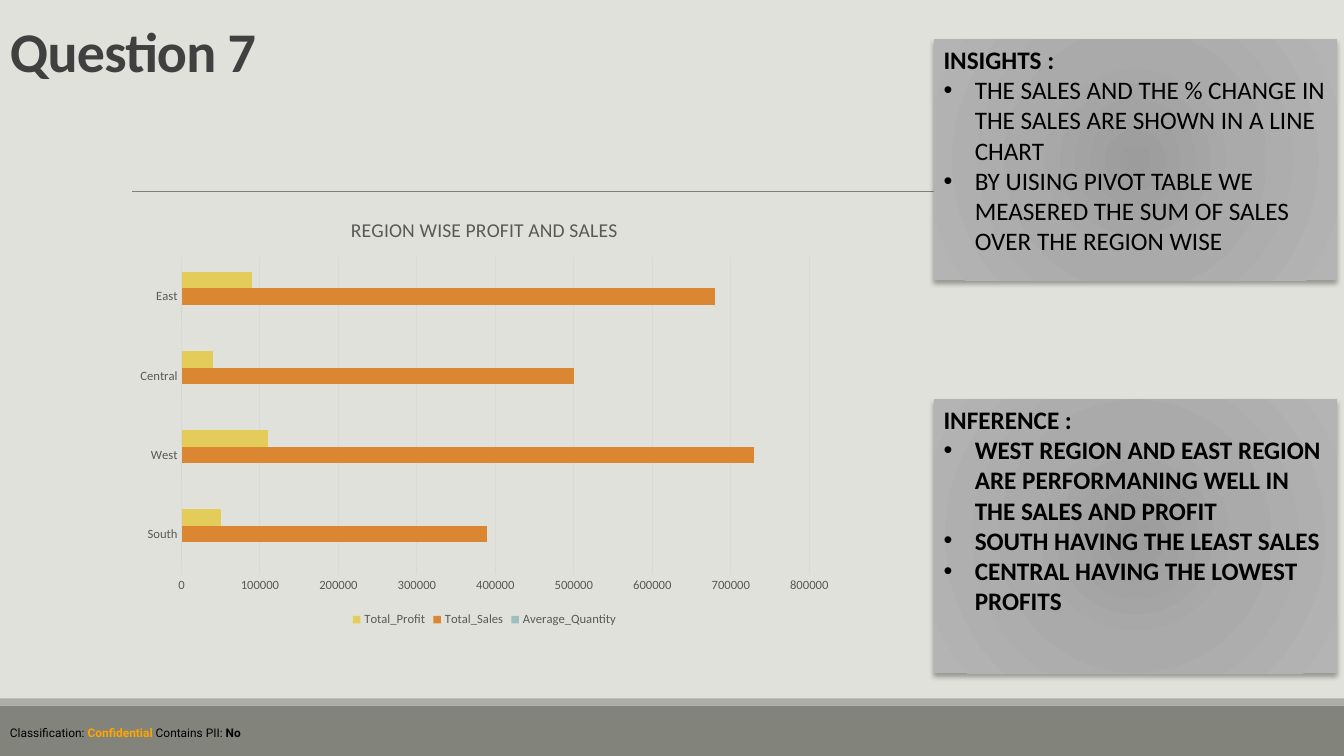
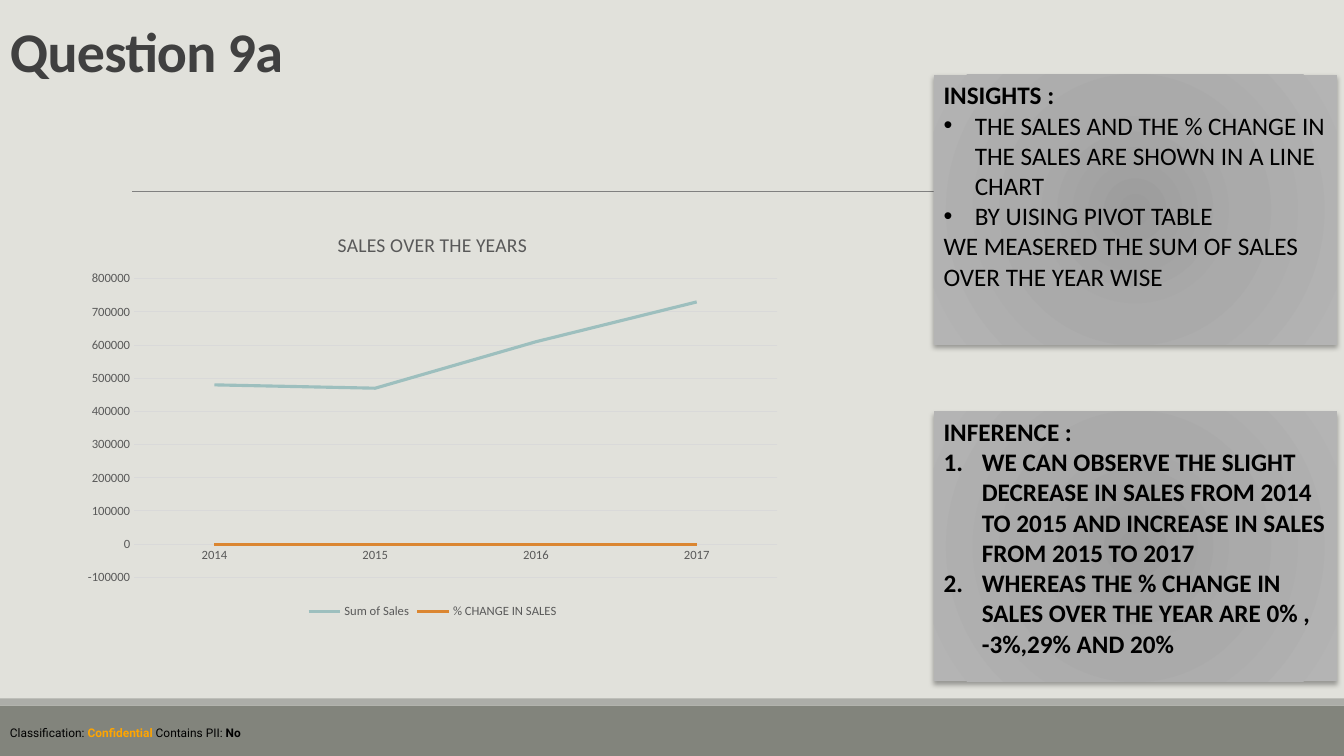
"""Build two slides, each with a sales chart beside insight and inference boxes."""
from lxml import etree
from pptx import Presentation
from pptx.chart.data import CategoryChartData
from pptx.dml.color import RGBColor
from pptx.enum.chart import XL_CHART_TYPE as CT, XL_LEGEND_POSITION as LP, XL_MARKER_STYLE as MS, XL_TICK_MARK as TM
from pptx.enum.shapes import MSO_CONNECTOR, MSO_SHAPE
from pptx.enum.text import MSO_ANCHOR, PP_ALIGN
from pptx.oxml import parse_xml
from pptx.oxml.ns import nsdecls, qn
from pptx.util import Inches, Pt

PAPER = RGBColor(0xE1, 0xE1, 0xDB)
BAND = RGBColor(0x82, 0x84, 0x7C)
STRIP = RGBColor(0xAC, 0xAD, 0xA8)
RULE = RGBColor(0x80, 0x80, 0x80)
BLACK = RGBColor(0, 0, 0)
ORANGE = RGBColor(0xFF, 0xA5, 0x00)
HEADING = RGBColor(0x40, 0x40, 0x40)
LABEL = RGBColor(0x59, 0x59, 0x59)
GRID = RGBColor(0xD9, 0xD9, 0xD9)
TEAL = RGBColor(0x9D, 0xBF, 0xBE)
RUST = RGBColor(0xDB, 0x86, 0x31)
YELLOW = RGBColor(0xE3, 0xCC, 0x5A)

GRADIENT = (
    f'<a:gradFill {nsdecls("a")} rotWithShape="1"><a:gsLst>'
    '<a:gs pos="0"><a:srgbClr val="9C9C9C"/></a:gs>'
    '<a:gs pos="45000"><a:srgbClr val="AAAAAA"/></a:gs>'
    '<a:gs pos="100000"><a:srgbClr val="B4B4B4"/></a:gs></a:gsLst>'
    '<a:path path="circle"><a:fillToRect l="100000" t="100000" r="100000" b="100000"/></a:path>'
    '</a:gradFill>')
SHADOW = (
    f'<a:outerShdw {nsdecls("a")} blurRad="44450" dist="27940" dir="5400000" rotWithShape="0">'
    '<a:srgbClr val="000000"><a:alpha val="32000"/></a:srgbClr></a:outerShdw>')
BULLET, NUMBER, PLAIN = "bullet", "number", "plain"
INDENTS = {BULLET: Inches(0.31), NUMBER: Inches(0.38)}

SLIDES = [
    {
        "title": "Question 7",
        "boxes": [
            (0.39, 2.39, "INSIGHTS :", False, [
                (BULLET, "THE SALES AND THE % CHANGE IN THE SALES ARE SHOWN IN A LINE CHART"),
                (BULLET, "BY UISING PIVOT TABLE WE MEASERED THE SUM OF SALES OVER THE REGION WISE")]),
            (3.96, 2.72, "INFERENCE :", True, [
                (BULLET, "WEST REGION AND EAST REGION ARE PERFORMANING WELL IN THE SALES AND PROFIT"),
                (BULLET, "SOUTH HAVING THE LEAST SALES"),
                (BULLET, "CENTRAL HAVING THE LOWEST PROFITS")])],
        "chart": (CT.BAR_CLUSTERED, (1.25, 1.97, 7.11, 4.29), "REGION WISE PROFIT AND SALES", 0),
        "cats": ["South", "West", "Central", "East"],
        "series": [
            ("Average_Quantity", [0, 0, 0, 0], TEAL),
            ("Total_Sales", [390000, 730000, 500000, 680000], RUST),
            ("Total_Profit", [50000, 110000, 40000, 90000], YELLOW)],
    },
    {
        "title": "Question 9a",
        "boxes": [
            (0.74, 2.68, "INSIGHTS :", False, [
                (BULLET, "THE SALES AND THE % CHANGE IN THE SALES ARE SHOWN IN A LINE CHART"),
                (BULLET, "BY UISING PIVOT TABLE"),
                (PLAIN, "WE MEASERED THE SUM OF SALES OVER THE YEAR WISE")]),
            (4.08, 2.68, "INFERENCE :", True, [
                (NUMBER, "WE CAN OBSERVE THE SLIGHT DECREASE IN SALES FROM 2014 TO 2015 "
                         "AND INCREASE IN SALES FROM 2015 TO 2017"),
                (NUMBER, "WHEREAS THE % CHANGE IN SALES OVER THE YEAR ARE 0% , -3%,29% AND 20%")])],
        "chart": (CT.LINE, (0.73, 2.12, 7.12, 4.06), "SALES OVER THE YEARS", -100000),
        "cats": ["2014", "2015", "2016", "2017"],
        "series": [
            ("Sum of Sales", [480000, 470000, 610000, 730000], TEAL),
            ("% CHANGE IN SALES", [0, 0, 0, 0], RUST)],
    },
]


def style(font, size, color, bold=False, name="Calibri"):
    """Set the look of a font."""
    font.name, font.size, font.bold = name, Pt(size), bold
    font.color.rgb = color


def add_rect(s, x, y, w, h):
    """Add a rectangle without line or inherited shadow."""
    sp = s.shapes.add_shape(MSO_SHAPE.RECTANGLE, Inches(x), Inches(y), Inches(w), Inches(h))
    sp.line.fill.background()
    sp.shadow.inherit = False
    return sp


prs = Presentation()
prs.slide_width, prs.slide_height = Inches(13.33), Inches(7.5)

for page in SLIDES:
    s = prs.slides.add_slide(prs.slide_layouts[6])
    s.background.fill.solid()
    s.background.fill.fore_color.rgb = PAPER

    for y, h, color in [(7, 0.5, BAND), (6.93, 0.07, STRIP)]:
        sp = add_rect(s, 0, y, 13.33, h)
        sp.fill.solid()
        sp.fill.fore_color.rgb = color

    rule = s.shapes.add_connector(
        MSO_CONNECTOR.STRAIGHT, Inches(1.31), Inches(1.9), Inches(12.21), Inches(1.9))
    rule.line.color.rgb = RULE
    rule.line.width = Pt(0.5)
    etree.SubElement(rule._element.spPr, qn("a:effectLst"))

    tf = s.shapes.add_textbox(0, Inches(7.15), Inches(13.33), Inches(0.24)).text_frame
    tf.word_wrap = True
    p = tf.paragraphs[0]
    for text, color, bold in [("Classification: ", BLACK, False), ("Confidential", ORANGE, True),
                              (" Contains PII: ", BLACK, False), ("No", BLACK, True)]:
        r = p.add_run()
        r.text = text
        style(r.font, 8.5, color, bold, "Roboto")

    tf = s.shapes.add_textbox(0, Inches(-0.01), Inches(3.87), Inches(0.89)).text_frame
    tf.word_wrap = True
    tf.vertical_anchor = MSO_ANCHOR.BOTTOM
    p = tf.paragraphs[0]
    p.text = page["title"]
    p.line_spacing = 0.85
    style(p.runs[0].font, 40, HEADING, True)
    p.runs[0].font._element.set("spc", "-50")

    for y, h, heading, bold, items in page["boxes"]:
        sp = add_rect(s, 9.26, y, 4, h)
        spPr = sp._element.spPr
        spPr.insert(2, parse_xml(GRADIENT))
        spPr.find(qn("a:effectLst")).append(parse_xml(SHADOW))
        tf = sp.text_frame
        tf.word_wrap = True
        tf.vertical_anchor = MSO_ANCHOR.TOP
        tf.text = heading
        style(tf.paragraphs[0].runs[0].font, 18, BLACK, True)
        for marker, text in items:
            p = tf.add_paragraph()
            p.text = text
            style(p.runs[0].font, 18, BLACK, bold)
            if marker == PLAIN:
                continue
            pPr = p._p.get_or_add_pPr()
            pPr.set("marL", str(INDENTS[marker]))
            pPr.set("indent", str(-INDENTS[marker]))
            if marker == BULLET:
                etree.SubElement(pPr, qn("a:buFont")).set("typeface", "Arial")
                etree.SubElement(pPr, qn("a:buChar")).set("char", "•")
            else:
                etree.SubElement(pPr, qn("a:buAutoNum")).set("type", "arabicPeriod")
        for p in tf.paragraphs:
            p.alignment = PP_ALIGN.LEFT

    kind, place, title, low = page["chart"]
    data = CategoryChartData()
    data.categories = page["cats"]
    for name, values, _ in page["series"]:
        data.add_series(name, values)
    chart = s.shapes.add_chart(kind, *map(Inches, place), data).chart
    style(chart.font, 10, BLACK)
    chart.has_title = True
    tf = chart.chart_title.text_frame
    tf.text = title
    style(tf.paragraphs[0].runs[0].font, 14, LABEL)
    chart.chart_title.include_in_layout = False
    chart.has_legend = True
    chart.legend.position = LP.BOTTOM
    chart.legend.include_in_layout = False
    style(chart.legend.font, 9, LABEL)

    cat, val = chart.category_axis, chart.value_axis
    for axis in (cat, val):
        axis.major_tick_mark = axis.minor_tick_mark = TM.NONE
        style(axis.tick_labels.font, 9, LABEL)
    cat.has_major_gridlines = False
    val.has_major_gridlines = True
    for line in (cat.format.line, val.major_gridlines.format.line):
        line.color.rgb = GRID
        line.width = Pt(0.75)
    val.format.line.fill.background()
    val.minimum_scale, val.maximum_scale, val.major_unit = low, 800000, 100000

    plot = chart.plots[0]
    plot.vary_by_categories = False
    if kind == CT.BAR_CLUSTERED:
        plot.gap_width = 182
    for series, (_, _, color) in zip(plot.series, page["series"]):
        if kind == CT.LINE:
            series.smooth = False
            series.marker.style = MS.NONE
            series.format.line.color.rgb = color
            series.format.line.width = Pt(2.25)
        else:
            series.format.fill.solid()
            series.format.fill.fore_color.rgb = color

prs.save("out.pptx")
